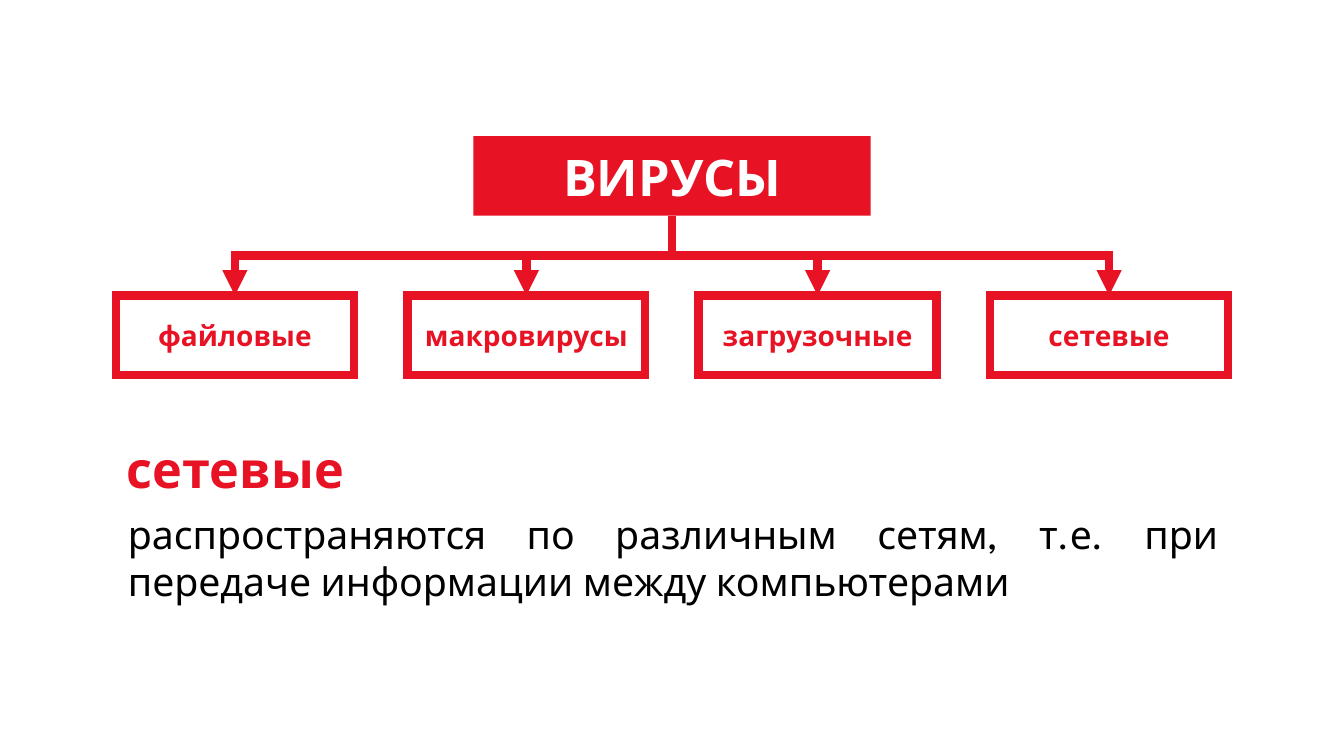
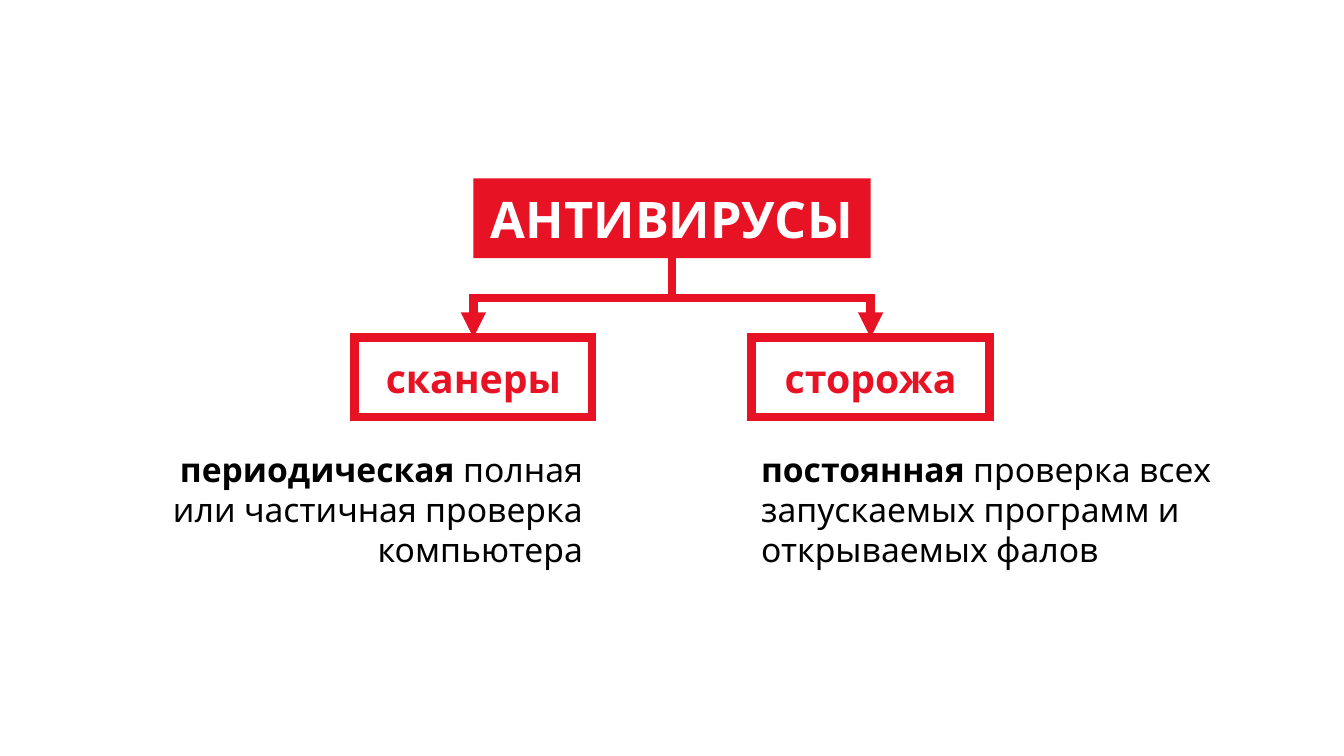
from lxml.etree import SubElement as Sub
from pptx import Presentation
from pptx.dml.color import RGBColor
from pptx.enum.shapes import MSO_CONNECTOR as Link, MSO_SHAPE as Form
from pptx.enum.text import MSO_ANCHOR as Anchor, PP_ALIGN as Align
from pptx.oxml.ns import qn
from pptx.util import Inches, Pt

RED = RGBColor(0xE7, 0x12, 0x24)
WHITE = RGBColor(0xFF, 0xFF, 0xFF)
BLACK = RGBColor(0, 0, 0)
FONT = "League Spartan"
WIDE, HIGH = 13.33, 7.5
ROOT_W, NODE_W, BOX_H = 3.94, 2.36, 0.79
DROP = 2 * BOX_H


def write(frame, *runs, size=24, color=BLACK, align=Align.LEFT, anchor=Anchor.TOP):
    """Fill a frame with one paragraph of (text, bold) runs."""
    frame.word_wrap = True
    frame.vertical_anchor = anchor
    para = frame.paragraphs[0]
    para.alignment = align
    for text, bold in runs:
        run = para.add_run()
        run.text = text
        font = run.font
        font.name, font.size, font.bold = FONT, Pt(size), bold
        font.color.rgb = color


def note(slide, box, *runs, **style):
    """Place a plain text box."""
    area = slide.shapes.add_textbox(*map(Inches, box))
    write(area.text_frame, *runs, **style)


def stroke(line):
    """Give a line the thick red style with square corners."""
    line.color.rgb = RED
    line.width = Pt(6)


def block(slide, box, text, size, solid=False):
    """Draw a filled or outlined box with a centred bold label."""
    shape = slide.shapes.add_shape(Form.RECTANGLE, *map(Inches, box))
    shape.shadow.inherit = False
    if solid:
        shape.fill.solid()
        shape.fill.fore_color.rgb = RED
        shape.line.fill.background()
    else:
        shape.fill.background()
        stroke(shape.line)
        Sub(shape.line._get_or_add_ln(), qn("a:miter"), lim="800000")
    write(shape.text_frame, (text, True), size=size, align=Align.CENTER,
          color=WHITE if solid else RED, anchor=Anchor.MIDDLE)
    return shape


def branch(slide, root, node):
    """Run a bent arrow from the foot of the root to the head of a node."""
    start, end = root.left + root.width // 2, node.left + node.width // 2
    top, foot = root.top + root.height, node.top
    link = slide.shapes.add_connector(Link.ELBOW, start, top, end, foot)
    link.begin_connect(root, 2)
    link.end_connect(node, 0)
    link.width, link.height = foot - top, abs(end - start)
    link.left = (start + end - link.width) // 2
    link.top = (top + foot - link.height) // 2
    right = end > start
    props = link.element.spPr
    frame = props.find(qn("a:xfrm"))
    frame.set("rot", str((270 if right else 90) * 60000))
    frame.set("flipH", str(int(right)))
    frame.set("flipV", "0")
    stroke(link.line)
    line = props.find(qn("a:ln"))
    Sub(line, qn("a:miter"), lim="800000")
    Sub(line, qn("a:tailEnd"), type="triangle")
    Sub(props, qn("a:effectLst"))


def tree(slide, top, title, names, pitch, size):
    """Draw a root with evenly spaced nodes, centred on the slide."""
    mid = WIDE / 2
    root = block(slide, (mid - ROOT_W / 2, top, ROOT_W, BOX_H), title, 36, True)
    first = mid - pitch * (len(names) - 1) / 2 - NODE_W / 2
    nodes = [block(slide, (first + i * pitch, top + DROP, NODE_W, BOX_H), name, size)
             for i, name in enumerate(names)]
    for node in nodes:
        branch(slide, root, node)


def viruses(slide):
    """Show the kinds of virus and explain one of them."""
    names = ["файловые", "макровирусы", "загрузочные", "сетевые"]
    tree(slide, 1.35, "ВИРУСЫ", names, 2.89, 20)
    note(slide, (1.16, 4.3, 6.67, 0.71), (names[-1], True), size=36, color=RED)
    note(slide, (1.17, 5.01, 11.01, 1.04),
         ("распространяются по различным сетям, т.е. при передаче "
          "информации между компьютерами", False),
         size=28, align=Align.JUSTIFY)


def guards(slide):
    """Show the two kinds of antivirus with a description each."""
    tree(slide, 1.77, "АНТИВИРУСЫ", ["сканеры", "сторожа"], ROOT_W, 28)
    width = 4.88
    note(slide, (1, 4.4, width, 1.31), ("периодическая", True),
         (" полная или частичная проверка компьютера", False), align=Align.RIGHT)
    note(slide, (WIDE - 1 - width, 4.4, width, 1.31), ("постоянная", True),
         (" проверка всех запускаемых программ и открываемых фалов", False))


def main():
    """Build and save the deck."""
    deck = Presentation()
    deck.slide_width, deck.slide_height = Inches(WIDE), Inches(HIGH)
    for fill in (viruses, guards):
        fill(deck.slides.add_slide(deck.slide_layouts[6]))
    deck.save("out.pptx")


if __name__ == "__main__":
    main()
